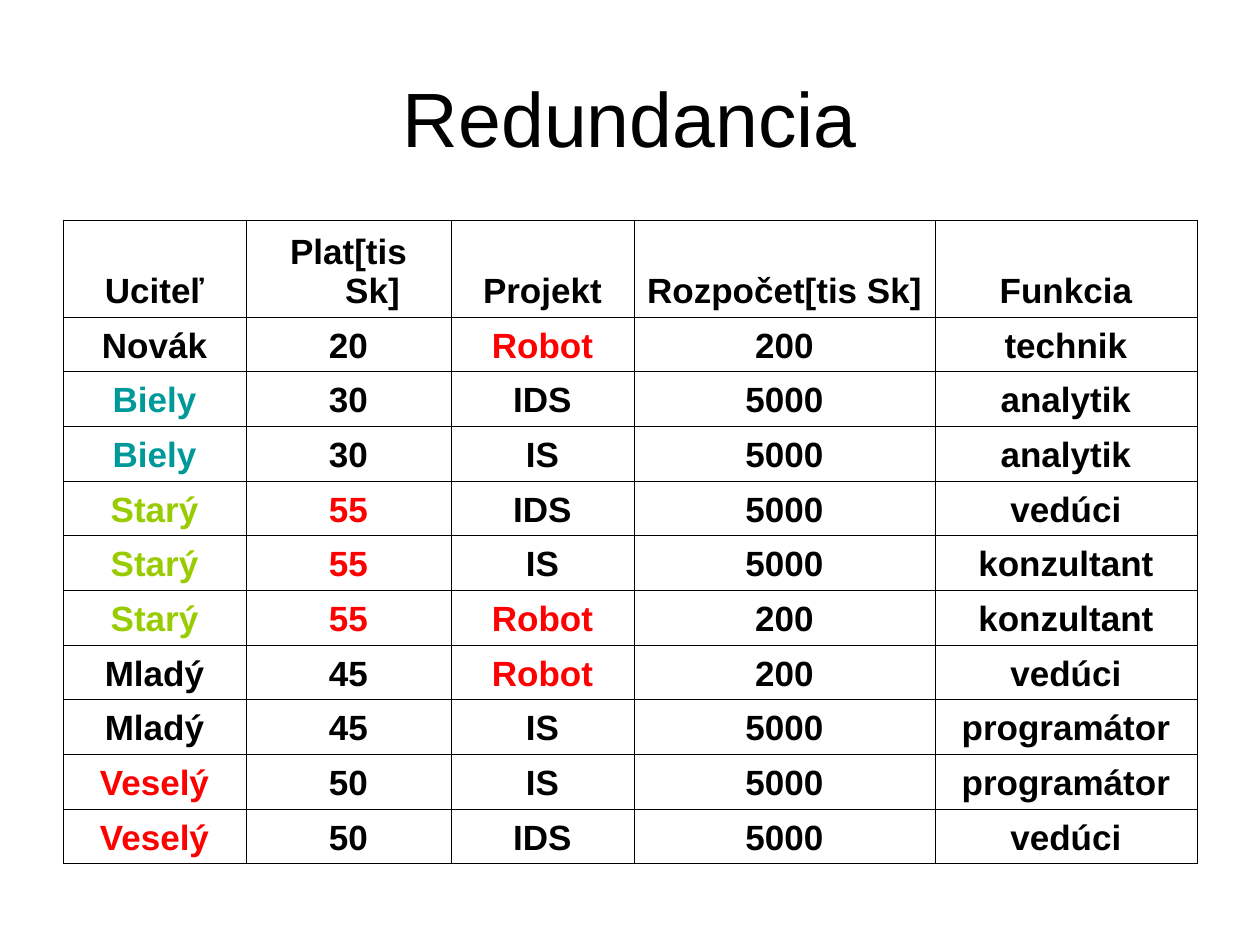
from lxml.etree import SubElement
from pptx import Presentation
from pptx.dml.color import RGBColor
from pptx.enum.text import MSO_ANCHOR as Anchor, PP_ALIGN as Align
from pptx.oxml.ns import qn
from pptx.util import Emu, Pt

EMU_PER_PX = 914400 / 126
FONT = "Arial"
BLACK = RGBColor(0x00, 0x00, 0x00)
RED = RGBColor(0xFF, 0x00, 0x00)
TEAL = RGBColor(0x00, 0x99, 0x99)
LIME = RGBColor(0x99, 0xCC, 0x00)

COLUMN_WIDTHS = (183, 205, 183, 301, 262)
HEADER_HEIGHT = 97
HANGING_INDENT = 48
BORDER_WIDTH = Pt(0.45)

ROWS = (
    ("Uciteľ", "Plat[tis Sk]", "Projekt", "Rozpočet[tis Sk]", "Funkcia"),
    ("Novák", "20", "Robot", "200", "technik"),
    ("Biely", "30", "IDS", "5000", "analytik"),
    ("Biely", "30", "IS", "5000", "analytik"),
    ("Starý", "55", "IDS", "5000", "vedúci"),
    ("Starý", "55", "IS", "5000", "konzultant"),
    ("Starý", "55", "Robot", "200", "konzultant"),
    ("Mladý", "45", "Robot", "200", "vedúci"),
    ("Mladý", "45", "IS", "5000", "programátor"),
    ("Veselý", "50", "IS", "5000", "programátor"),
    ("Veselý", "50", "IDS", "5000", "vedúci"),
)
# Redundant values are highlighted wherever they occur
HIGHLIGHTS = {"Biely": TEAL, "Starý": LIME, "Veselý": RED, "55": RED, "Robot": RED}


def px(length):
    return Emu(round(length * EMU_PER_PX))


def format_text(paragraph, size, color, bold=False):
    paragraph.alignment = Align.CENTER
    font = paragraph.runs[0].font
    font.name = FONT
    font.size = Pt(size)
    font.bold = bold
    font.color.rgb = color


def add_title(slide, left, top, width, height):
    shape = slide.shapes.add_textbox(px(left), px(top), px(width), px(height))
    text_frame = shape.text_frame
    text_frame.word_wrap = True
    text_frame.vertical_anchor = Anchor.MIDDLE
    text_frame.text = "Redundancia"
    format_text(text_frame.paragraphs[0], 44, BLACK)


def set_borders(cell):
    properties = cell._tc.get_or_add_tcPr()
    for position, side in enumerate(("lnL", "lnR", "lnT", "lnB")):
        line = SubElement(properties, qn(f"a:{side}"), w=str(BORDER_WIDTH))
        fill = SubElement(line, qn("a:solidFill"))
        SubElement(fill, qn("a:srgbClr"), val=str(BLACK))
        properties.insert(position, line)


def fill_cell(cell, text):
    cell.text = text
    cell.vertical_anchor = Anchor.BOTTOM
    cell.fill.background()
    set_borders(cell)
    paragraph = cell.text_frame.paragraphs[0]
    properties = paragraph._p.get_or_add_pPr()
    properties.set("marL", str(px(HANGING_INDENT)))
    properties.set("indent", str(px(-HANGING_INDENT)))
    format_text(paragraph, 20, HIGHLIGHTS.get(text, BLACK), bold=True)


def add_teacher_table(slide, left, top, width, height):
    frame = slide.shapes.add_table(len(ROWS), len(COLUMN_WIDTHS),
                                   px(left), px(top), px(width), px(height))
    table = frame.table
    table.horz_banding = False

    # Columns share the width in proportion; body rows share what the header leaves
    for column, share in zip(table.columns, COLUMN_WIDTHS):
        column.width = px(width * share / sum(COLUMN_WIDTHS))
    body_height = (height - HEADER_HEIGHT) / (len(ROWS) - 1)
    for index, (row, values) in enumerate(zip(table.rows, ROWS)):
        row.height = px(body_height if index else HEADER_HEIGHT)
        for cell, value in zip(row.cells, values):
            fill_cell(cell, value)


def main():
    presentation = Presentation()
    presentation.slide_width = px(1260)
    presentation.slide_height = px(945)
    slide = presentation.slides.add_slide(presentation.slide_layouts[6])
    add_title(slide, 63, 38, 1134, 157)
    add_teacher_table(slide, 63, 220, 1134, 643)
    presentation.save("out.pptx")


if __name__ == "__main__":
    main()
